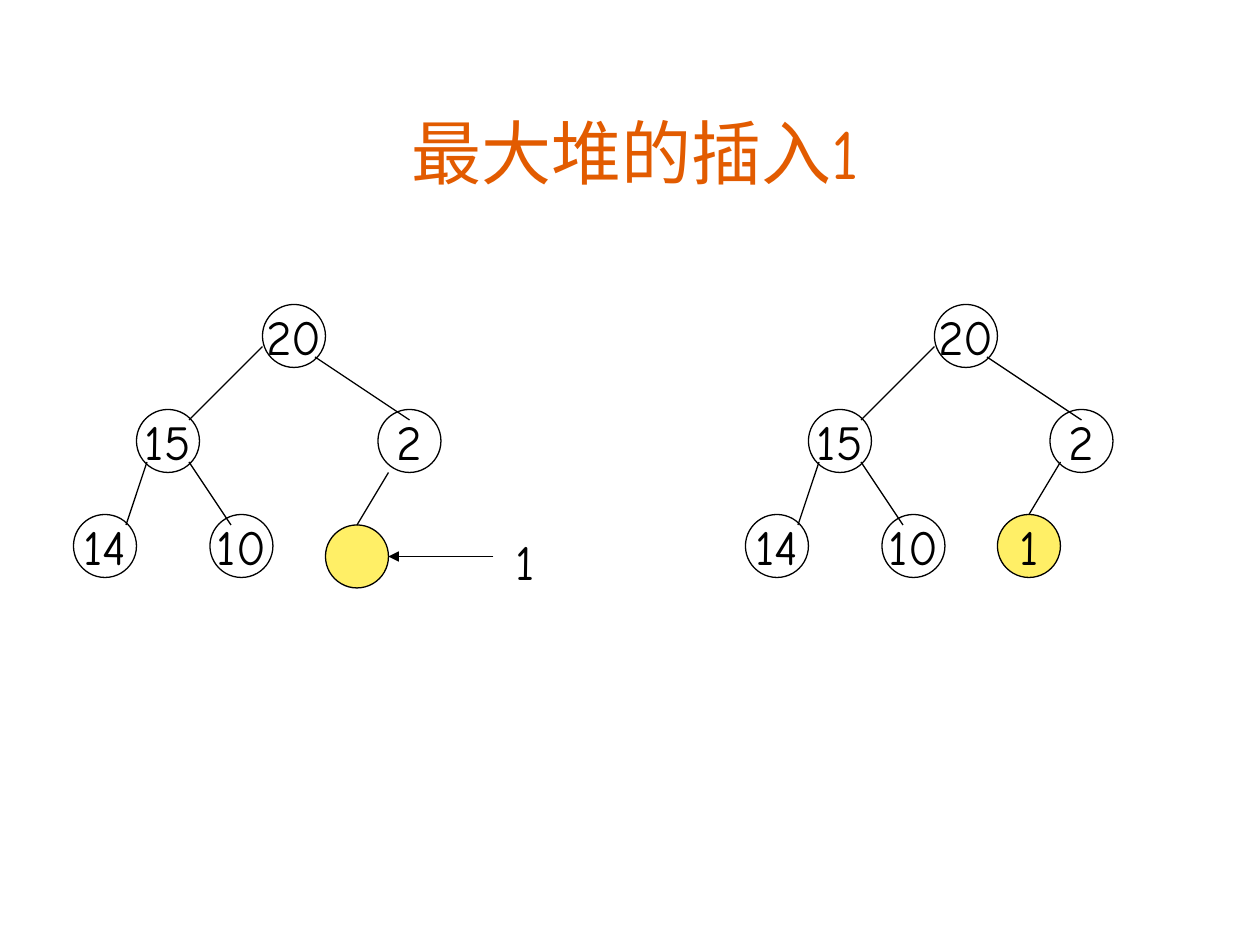
import pptx
import pptx.dml.color
import pptx.enum.shapes
import pptx.enum.text
import pptx.oxml
import pptx.oxml.ns
import pptx.util

COLORS = {"title": "E25B00", "ink": "000000", "new_node": "FFEF66"}
GRID_CM = 2.54 / 12
NODE_SIZE = 6
TREE_SHIFT = 64

# Grid positions of the heap nodes and the edges between them
HEAP_NODES = [("20", 25, 29), ("15", 13, 39), ("14", 7, 49), ("10", 20, 49), ("2", 36, 39)]
HEAP_EDGES = [
    ((25, 33), (18, 40)),
    ((14, 44), (12, 50)),
    ((18, 44), (22, 50)),
    ((30, 34), (39, 40)),
]


def grid(units):
    """Turn grid units (twelfths of an inch) into a length."""
    return pptx.util.Cm(units * GRID_CM)


def rgb(name):
    return pptx.dml.color.RGBColor.from_string(COLORS[name])


class HeapSlide:
    """Holds the current slide and the style of everything drawn on it."""

    font_name = "Comic Neue"
    line_width = pptx.util.Pt(0.75)

    def __init__(self, slide):
        self.slide = slide

    def set_text(self, shape, text, size, color, wrap, anchor):
        text_frame = shape.text_frame
        text_frame.text = text
        text_frame.word_wrap = wrap
        text_frame.vertical_anchor = anchor
        paragraph = text_frame.paragraphs[0]
        paragraph.alignment = pptx.enum.text.PP_ALIGN.CENTER
        for run in paragraph.runs:
            run.font.name = self.font_name
            run.font.size = pptx.util.Pt(size)
            run.font.color.rgb = rgb(color)

    def label(self, text, left, top, width, height, size=28, color="ink",
              anchor=pptx.enum.text.MSO_ANCHOR.TOP):
        box = self.slide.shapes.add_textbox(grid(left), grid(top), grid(width), grid(height))
        self.set_text(box, text, size, color, True, anchor)

    def node(self, text, left, top, fill=None):
        shape = self.slide.shapes.add_shape(
            pptx.enum.shapes.MSO_SHAPE.FLOWCHART_CONNECTOR,
            grid(left), grid(top), grid(NODE_SIZE), grid(NODE_SIZE))
        shape.shadow.inherit = False
        if fill:
            shape.fill.solid()
            shape.fill.fore_color.rgb = rgb(fill)
        else:
            shape.fill.background()
        shape.line.color.rgb = rgb("ink")
        shape.line.width = self.line_width
        if text:
            self.set_text(shape, text, 28, "ink", False, pptx.enum.text.MSO_ANCHOR.MIDDLE)

    def edge(self, start, end, arrow=False):
        connector = self.slide.shapes.add_connector(
            pptx.enum.shapes.MSO_CONNECTOR.STRAIGHT, *map(grid, start + end))
        connector.line.color.rgb = rgb("ink")
        connector.line.width = self.line_width
        properties = connector.element.spPr
        namespace = pptx.oxml.ns.nsdecls("a")
        if arrow:
            tail = pptx.oxml.parse_xml(f'<a:tailEnd {namespace} type="triangle"/>')
            properties.find(pptx.oxml.ns.qn("a:ln")).append(tail)
        properties.append(pptx.oxml.parse_xml(f"<a:effectLst {namespace}/>"))

    def heap(self, shift):
        for text, left, top in HEAP_NODES:
            self.node(text, left + shift, top)
        for (x1, y1), (x2, y2) in HEAP_EDGES:
            self.edge((x1 + shift, y1), (x2 + shift, y2))


def main():
    presentation = pptx.Presentation()
    presentation.slide_width = pptx.util.Cm(25.4)
    presentation.slide_height = pptx.util.Cm(19.05)
    heap_slide = HeapSlide(presentation.slides.add_slide(presentation.slide_layouts[6]))

    heap_slide.label("最大堆的插入1", 9, 9, 103, 10, size=40, color="title",
                     anchor=pptx.enum.text.MSO_ANCHOR.BOTTOM)

    # Before: the new position is still empty
    heap_slide.heap(0)
    heap_slide.node("", 31, 50, fill="new_node")
    heap_slide.edge((37, 45), (34, 50))
    heap_slide.label("1", 47, 50, 6, 6.8)
    heap_slide.edge((47, 53), (37, 53), arrow=True)

    # After: the new value is in place
    heap_slide.heap(TREE_SHIFT)
    heap_slide.node("1", 95, 49, fill="new_node")
    heap_slide.edge((101, 44), (98, 49))

    presentation.save("out.pptx")


if __name__ == "__main__":
    main()
